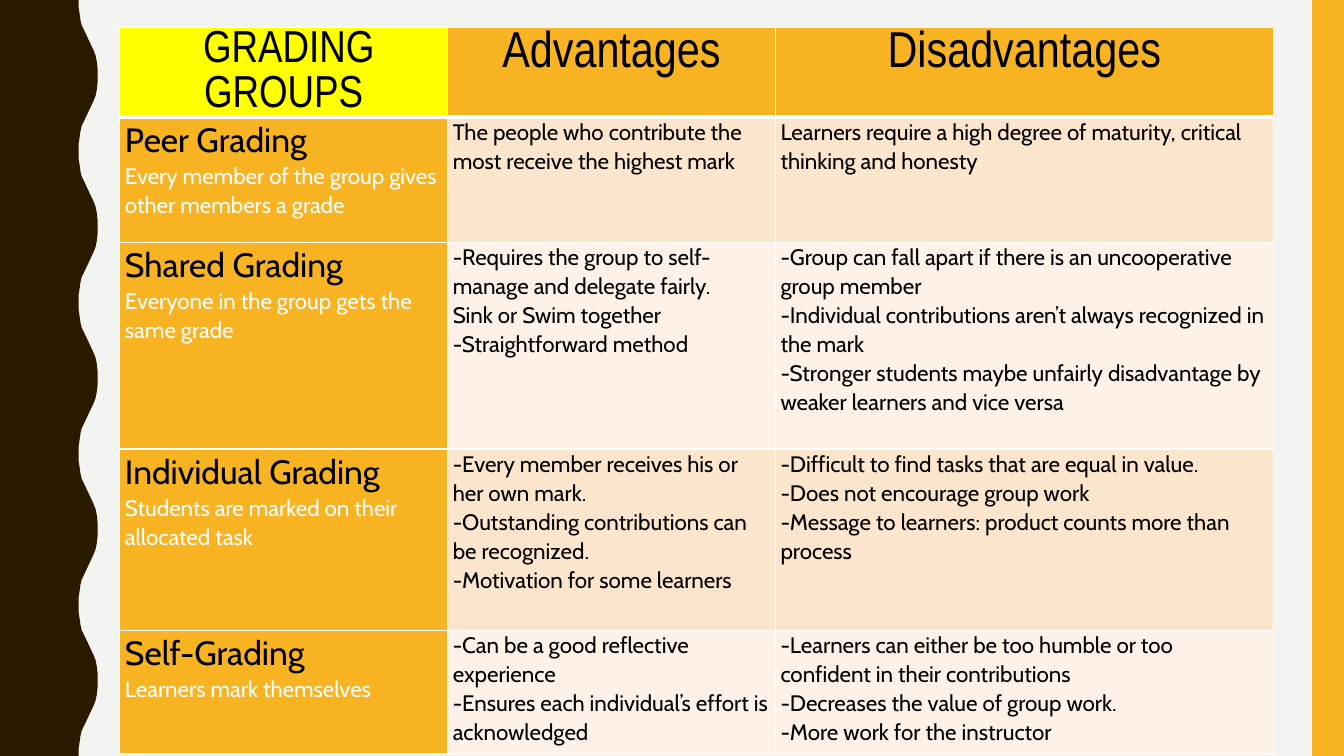
from lxml.etree import SubElement
from pptx import Presentation
from pptx.dml.color import RGBColor
from pptx.enum.shapes import MSO_SHAPE as Preset
from pptx.enum.text import PP_ALIGN as Align
from pptx.oxml.ns import qn
from pptx.util import Cm, Pt

BLACK, WHITE, AMBER, YELLOW = "000000", "FFFFFF", "F8B323", "FFFF00"
BROWN, BACKGROUND = "2A1A00", "F3F3F2"
BANDS = ["FCE5CD", "FEF2E8"]
COLUMN_WIDTHS = [8.26, 8.26, 12.55]
ROW_HEIGHTS = [1.68, 3.15, 5.21, 4.57, 3.1]
HEADINGS = ["\N{NO-BREAK SPACE}GRADING GROUPS", "Advantages", "Disadvantages"]
METHODS = [
    [
        ["Peer Grading", "Every member of the group gives other members a grade"],
        ["The people who contribute the most receive the highest mark"],
        ["Learners require a high degree of maturity, critical thinking and honesty"],
    ],
    [
        ["Shared Grading", "Everyone in the group gets the same grade"],
        ["-Requires the group to self-manage and delegate fairly.",
         "Sink or Swim together",
         "-Straightforward method"],
        ["-Group can fall apart if there is an uncooperative group member",
         "-Individual contributions aren’t always recognized in the mark",
         "-Stronger students maybe unfairly disadvantage by weaker learners and vice versa"],
    ],
    [
        ["Individual Grading", "Students are marked on their allocated task"],
        ["-Every member receives his or her own mark.",
         "-Outstanding contributions can be recognized.",
         "-Motivation for some learners"],
        ["-Difficult to find tasks that are equal in value.",
         "-Does not encourage group work",
         "-Message to learners: product counts more than process"],
    ],
    [
        ["Self-Grading", "Learners mark themselves"],
        ["-Can be a good reflective experience",
         "-Ensures each individual’s effort is acknowledged"],
        ["-Learners can either be too humble or too confident in their contributions",
         "-Decreases the value of group work.",
         "-More work for the instructor"],
    ],
]
# One half wave of the left edge, from trough to crest, in centimetres
WAVE_PERIOD = 3.81
HALF_WAVE = [(1.98, 0), (1.98, 0.18), (2.01, 0.36), (2.03, 0.51), (2.06, 0.64),
             (2.11, 0.74), (2.36, 1.27), (2.41, 1.4), (2.44, 1.55), (2.46, 1.73),
             (2.46, 1.9)]


def paint(fill, color):
    fill.solid()
    fill.fore_color.rgb = RGBColor.from_string(color)


def fill_cell(cell, lines, color, styles, alignment, bottom_width):
    """Write the lines with one (font, size, color) style each, and style the cell."""
    cell.margin_left = cell.margin_right = Cm(0.13)
    cell.margin_top = cell.margin_bottom = 0
    cell.text_frame.text = "\n".join(lines)
    for paragraph, (font_name, size, text_color) in zip(cell.text_frame.paragraphs, styles):
        paragraph.alignment = alignment
        paragraph.line_spacing = 1.07
        font = paragraph.runs[0].font
        font.name, font.size, font.bold = font_name, Pt(size), False
        paint(font.fill, text_color)
    properties = cell._tc.get_or_add_tcPr()
    for side, width in [("L", 1), ("R", 1), ("T", 1), ("B", bottom_width)]:
        border = SubElement(properties, qn(f"a:ln{side}"), w=str(Pt(width)))
        SubElement(SubElement(border, qn("a:solidFill")), qn("a:srgbClr"), val=WHITE)
    paint(cell.fill, color)


presentation = Presentation()
presentation.slide_width, presentation.slide_height = Cm(33.87), Cm(19.05)
slide = presentation.slides.add_slide(presentation.slide_layouts[6])
paint(slide.background.fill, BACKGROUND)

# Side decorations
full_wave = HALF_WAVE + [(x, WAVE_PERIOD - y) for x, y in reversed(HALF_WAVE)]
edge = [(Cm(x), Cm(y + period * WAVE_PERIOD)) for period in range(5) for x, y in full_wave]
builder = slide.shapes.build_freeform(0, 0)
builder.add_line_segments(edge + [(0, Cm(19.05))], close=True)
wave = builder.convert_to_shape()
stripe = slide.shapes.add_shape(Preset.RECTANGLE, Cm(33.07), 0, Cm(0.8), Cm(19.05))
for shape, color in [(wave, BROWN), (stripe, AMBER)]:
    shape.shadow.inherit = False
    shape.line.fill.background()
    paint(shape.fill, color)

# Comparison table
table = slide.shapes.add_table(
    len(ROW_HEIGHTS), len(COLUMN_WIDTHS), Cm(3.02), Cm(0.69),
    Cm(sum(COLUMN_WIDTHS)), Cm(sum(ROW_HEIGHTS))).table
table.first_row = table.horz_banding = False
for column, width in zip(table.columns, COLUMN_WIDTHS):
    column.width = Cm(width)
for row, height in zip(table.rows, ROW_HEIGHTS):
    row.height = Cm(height)

for column, heading in enumerate(HEADINGS):
    color, size = (AMBER, 36) if column else (YELLOW, 32)
    fill_cell(table.cell(0, column), [heading], color,
              [("Arial Narrow", size, BLACK)], Align.CENTER, 3)

method_styles = [("Cabin", 24, BLACK), ("Cabin", 16, WHITE)]
for row, method in enumerate(METHODS, start=1):
    for column, lines in enumerate(method):
        color = BANDS[(row - 1) % 2] if column else AMBER
        styles = [("Cabin", 16, BLACK)] * len(lines) if column else method_styles
        fill_cell(table.cell(row, column), lines, color, styles, Align.LEFT, 1)

presentation.save("out.pptx")
